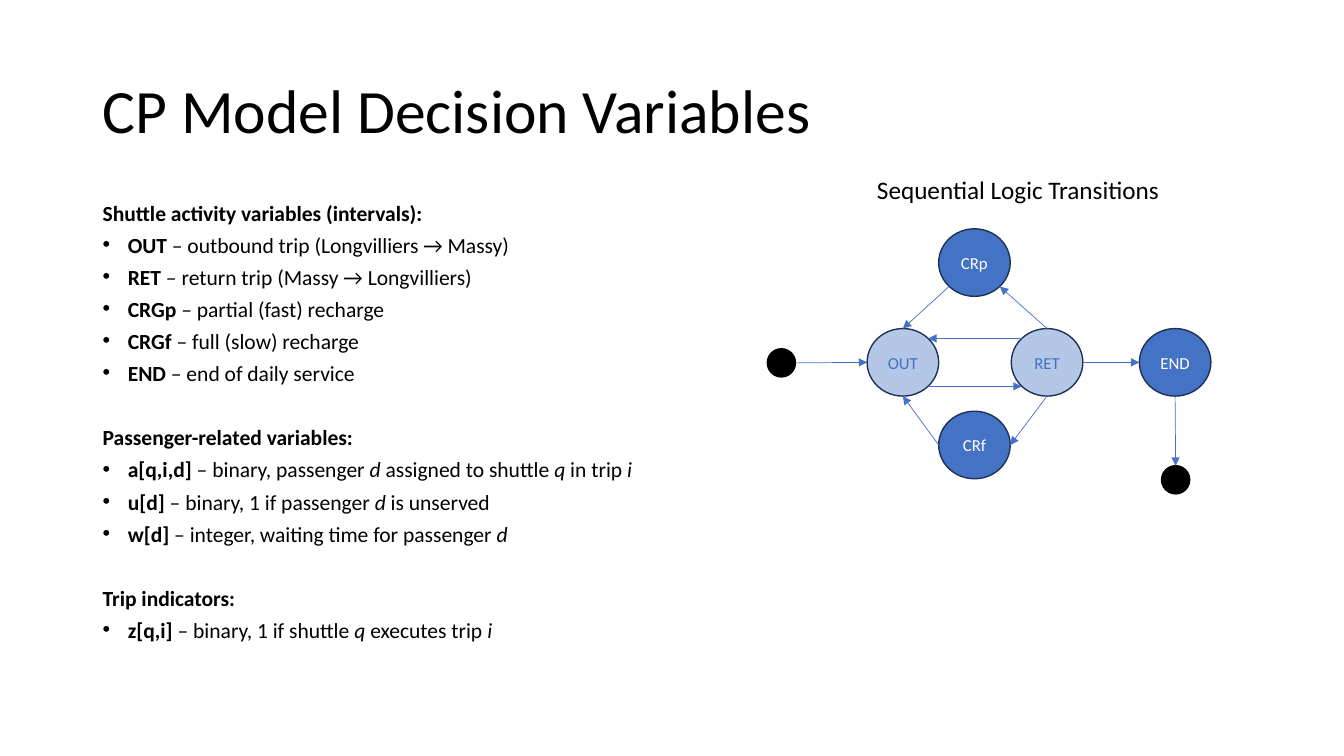
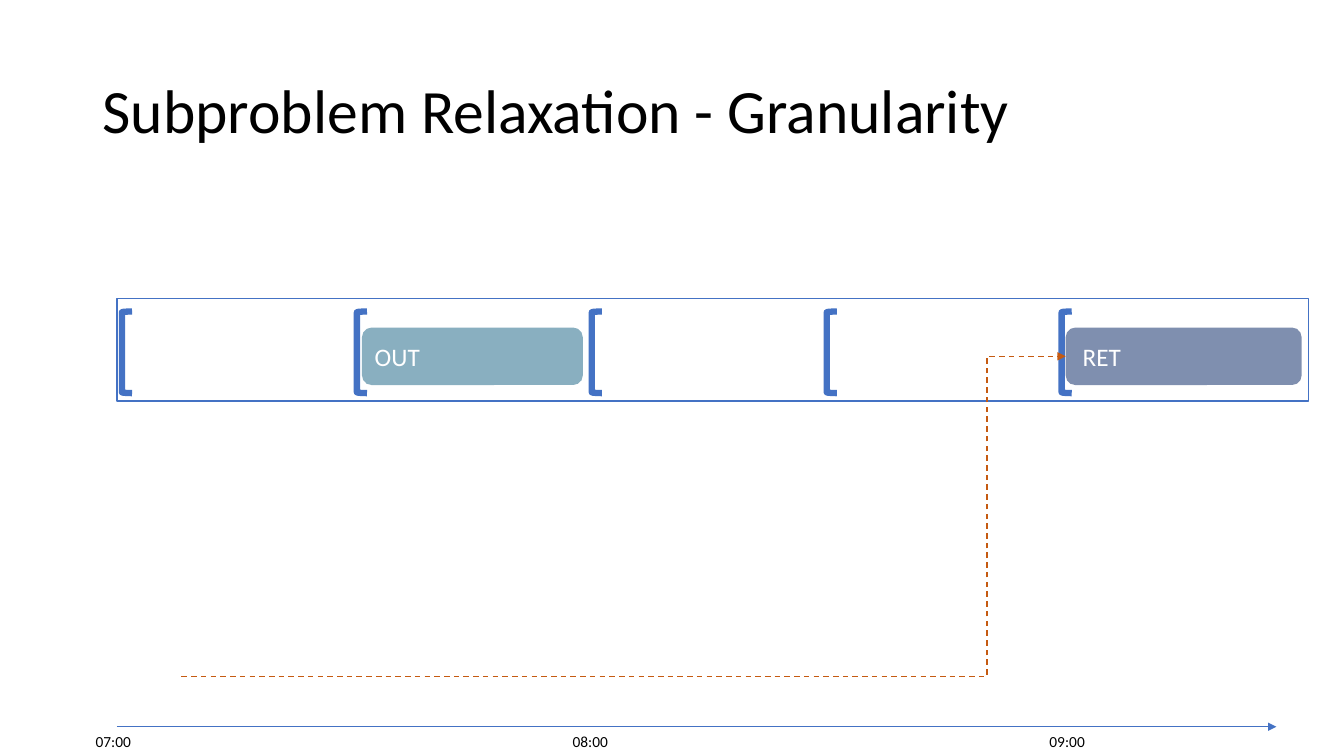
import dataclasses

import lxml.etree
import pptx
import pptx.dml.color
import pptx.enum.dml
import pptx.enum.shapes
import pptx.enum.text
import pptx.oxml.ns
import pptx.util

Inches = pptx.util.Inches
Pt = pptx.util.Pt
SHAPE = pptx.enum.shapes.MSO_SHAPE
CONNECTOR = pptx.enum.shapes.MSO_CONNECTOR
ALIGN = pptx.enum.text.PP_ALIGN
ANCHOR = pptx.enum.text.MSO_ANCHOR


@dataclasses.dataclass(frozen=True)
class Theme:
    font: str = "Calibri"
    ink: str = "000000"
    white: str = "FFFFFF"
    accent: str = "4472C4"
    pale: str = "B4C7E7"
    rim: str = "1E3256"
    outbound: str = "156082"
    inbound: str = "002060"
    path_dash: str = "C55A11"
    title_size: float = 44
    body_size: float = 15.4
    label_size: float = 18
    node_size: float = 12
    tick_size: float = 11


@dataclasses.dataclass(frozen=True)
class Box:
    left: float
    top: float
    width: float
    height: float

    def inside(self, left, top, width, height):
        return Box(self.left + left, self.top + top, width, height)

    def lengths(self):
        return [Inches(v) for v in (self.left, self.top, self.width, self.height)]

    def point(self, across, down):
        return (self.left + self.width * (1 + across) / 2,
                self.top + self.height * (1 + down) / 2)


THEME = Theme()
TITLE_BOX = Box(0.92, 0.4, 11.5, 1.45)
DIAGONAL = 0.71

VARIABLE_GROUPS = [
    ("Shuttle activity variables (intervals):", [
        ("OUT", [" – outbound trip (Longvilliers → Massy)"]),
        ("RET", [" – return trip (Massy → Longvilliers)"]),
        ("CRGp", [" – partial (fast) recharge"]),
        ("CRGf", [" – full (slow) recharge"]),
        ("END", [" – end of daily service"]),
    ]),
    ("Passenger-related variables:", [
        ("a[q,i,d]", [" – binary, passenger ", "d", " assigned to shuttle ", "q", " in trip ", "i"]),
        ("u[d]", [" – binary, 1 if passenger ", "d", " is unserved"]),
        ("w[d]", [" – integer, waiting time for passenger ", "d"]),
    ]),
    ("Trip indicators:", [
        ("z[q,i]", [" – binary, 1 if shuttle ", "q", " executes trip ", "i"]),
    ]),
]


def rgb(value):
    return pptx.dml.color.RGBColor.from_string(value)


def add_xml(parent, tag, **attributes):
    return lxml.etree.SubElement(parent, pptx.oxml.ns.qn(tag), attributes)


def add_run(paragraph, text, size, color=THEME.ink, bold=False, italic=False):
    run = paragraph.add_run()
    run.text = text
    run.font.name = THEME.font
    run.font.size = Pt(size)
    run.font.color.rgb = rgb(color)
    run.font.bold = bold
    run.font.italic = italic


def add_text(slide, box, text, size, anchor=ANCHOR.TOP, wrap=True, spacing=None):
    frame = slide.shapes.add_textbox(*box.lengths()).text_frame
    frame.word_wrap = wrap
    frame.vertical_anchor = anchor
    paragraph = frame.paragraphs[0]
    paragraph.line_spacing = spacing
    add_run(paragraph, text, size)


def add_outline(shapes, kind, box, fill=None, line=None, weight=1):
    shape = shapes.add_shape(kind, *box.lengths())
    shape.shadow.inherit = False
    if fill:
        shape.fill.solid()
        shape.fill.fore_color.rgb = rgb(fill)
    else:
        shape.fill.background()
    if line:
        shape.line.color.rgb = rgb(line)
        shape.line.width = Pt(weight)
    else:
        shape.line.fill.background()
    return shape


def add_arrow(shapes, start, end, color=THEME.accent, weight=0.5, kind=CONNECTOR.STRAIGHT, dash=None):
    arrow = shapes.add_connector(kind, *[Inches(v) for v in (*start, *end)])
    arrow.line.color.rgb = rgb(color)
    arrow.line.width = Pt(weight)
    if dash:
        arrow.line.dash_style = dash
    add_xml(arrow.line._get_or_add_ln(), "a:tailEnd", type="triangle")
    add_xml(arrow._element.spPr, "a:effectLst")
    return arrow


def add_titled_slide(deck, title):
    slide = deck.slides.add_slide(deck.slide_layouts[6])
    add_text(slide, TITLE_BOX, title, THEME.title_size, ANCHOR.MIDDLE, spacing=0.9)
    return slide


def add_variable_list(slide, box):
    frame = slide.shapes.add_textbox(*box.lengths()).text_frame
    frame.word_wrap = True

    def next_paragraph(space_before):
        paragraph = frame.add_paragraph() if frame.paragraphs[0].runs else frame.paragraphs[0]
        paragraph.line_spacing = 0.7
        paragraph.space_before = Pt(space_before)
        return paragraph

    for index, (heading, variables) in enumerate(VARIABLE_GROUPS):
        add_run(next_paragraph(33 if index else 10), heading, THEME.body_size, bold=True)
        for name, meaning in variables:
            paragraph = next_paragraph(10)
            properties = paragraph._p.get_or_add_pPr()
            properties.set("marL", str(Inches(0.25)))
            properties.set("indent", str(-Inches(0.25)))
            add_xml(properties, "a:buFont", typeface="Arial")
            add_xml(properties, "a:buChar", char="•")
            add_run(paragraph, name, THEME.body_size, bold=True)
            for position, part in enumerate(meaning):
                add_run(paragraph, part, THEME.body_size, italic=position % 2 == 1)


def add_transitions(slide, box):
    shapes = slide.shapes.add_group_shape().shapes
    middle = 0.99
    states = {
        "OUT": (0.99, middle, THEME.pale, THEME.accent),
        "RET": (2.42, middle, THEME.pale, THEME.accent),
        "CRp": (1.7, 0, THEME.accent, THEME.white),
        "CRf": (1.7, 1.81, THEME.accent, THEME.white),
        "END": (3.69, middle, THEME.accent, THEME.white),
    }
    terminals = {"start": (0, 1.19), "finish": (3.91, 2.35)}
    boxes = {}
    for name, (left, top, fill, color) in states.items():
        boxes[name] = box.inside(left, top, 0.71, 0.67)
        state = add_outline(shapes, SHAPE.OVAL, boxes[name], fill, THEME.rim)
        frame = state.text_frame
        frame.word_wrap = False
        frame.vertical_anchor = ANCHOR.MIDDLE
        frame.paragraphs[0].alignment = ALIGN.CENTER
        add_run(frame.paragraphs[0], name, THEME.node_size, color)
    for name, (left, top) in terminals.items():
        boxes[name] = box.inside(left, top, 0.28, 0.28)
        add_outline(shapes, SHAPE.OVAL, boxes[name], THEME.ink, THEME.ink)

    top, bottom, left, right = (0, -1), (0, 1), (-1, 0), (1, 0)
    upper_left, upper_right = (-DIAGONAL, -DIAGONAL), (DIAGONAL, -DIAGONAL)
    lower_left, lower_right = (-DIAGONAL, DIAGONAL), (DIAGONAL, DIAGONAL)
    transitions = [
        ("start", right, "OUT", left),
        ("OUT", lower_right, "RET", lower_left),
        ("RET", upper_left, "OUT", upper_right),
        ("RET", top, "CRp", lower_right),
        ("CRp", lower_left, "OUT", top),
        ("RET", bottom, "CRf", right),
        ("CRf", left, "OUT", bottom),
        ("RET", right, "END", left),
        ("END", bottom, "finish", top),
    ]
    for source, leaving, target, entering in transitions:
        add_arrow(shapes, boxes[source].point(*leaving), boxes[target].point(*entering))


def add_trip(slide, box, name, fill, inset):
    trip = add_outline(slide.shapes, SHAPE.ROUNDED_RECTANGLE, box, fill)
    color = trip._element.spPr.find(".//" + pptx.oxml.ns.qn("a:srgbClr"))
    add_xml(color, "a:alpha", val="50000")
    frame = trip.text_frame
    frame.margin_left = Inches(inset)
    frame.vertical_anchor = ANCHOR.MIDDLE
    frame.paragraphs[0].alignment = ALIGN.LEFT
    add_run(frame.paragraphs[0], name, THEME.label_size, THEME.white)
    return trip


def add_schedule(slide, box):
    add_outline(slide.shapes, SHAPE.FLOWCHART_PROCESS, box, line=THEME.accent)
    for slot in range(5):
        add_outline(slide.shapes, SHAPE.LEFT_BRACKET,
                    box.inside(0.05 + 2.33 * slot, 0.13, 0.1, 0.81),
                    line=THEME.accent, weight=4.5)
    add_trip(slide, box.inside(2.43, 0.29, 2.19, 0.57), "OUT", THEME.outbound, 0.1)
    return_box = box.inside(9.41, 0.29, 2.34, 0.57)
    return_trip = add_trip(slide, return_box, "RET", THEME.inbound, 0.14)
    delay = add_arrow(slide.shapes, (box.left + 0.64, box.top + 3.75), return_box.point(-1, 0),
                      THEME.path_dash, 1, CONNECTOR.ELBOW, pptx.enum.dml.MSO_LINE.DASH)
    delay.end_connect(return_trip, 1)
    geometry = delay._element.spPr.find(pptx.oxml.ns.qn("a:prstGeom"))
    guides = geometry.get_or_add_avLst()
    add_xml(guides, "a:gd", name="adj1", fmla="val 91100")


def add_time_axis(slide, box):
    add_arrow(slide.shapes, (box.left, box.top), (box.left + box.width, box.top), weight=1)
    for index, hour in enumerate(("07:00", "08:00", "09:00")):
        add_text(slide, box.inside(4.73 * index - 0.31, 0, 0.61, box.height),
                 hour, THEME.tick_size, wrap=False)


def build_decision_variables(deck):
    slide = add_titled_slide(deck, "CP Model Decision Variables")
    add_variable_list(slide, Box(0.92, 2, 11.5, 4.76))
    add_transitions(slide, Box(7.61, 2.27, 4.4, 2.63))
    add_text(slide, Box(8.6, 1.68, 3.06, 0.4), "Sequential Logic Transitions",
             THEME.label_size, wrap=False)


def build_granularity(deck):
    slide = add_titled_slide(deck, "Subproblem Relaxation - Granularity")
    add_schedule(slide, Box(1.16, 2.96, 11.82, 1.02))
    add_time_axis(slide, Box(1.16, 7.21, 11.5, 0.29))


def main():
    deck = pptx.Presentation()
    deck.slide_width = Inches(13.33)
    deck.slide_height = Inches(7.5)
    build_decision_variables(deck)
    build_granularity(deck)
    deck.save("out.pptx")


if __name__ == "__main__":
    main()
